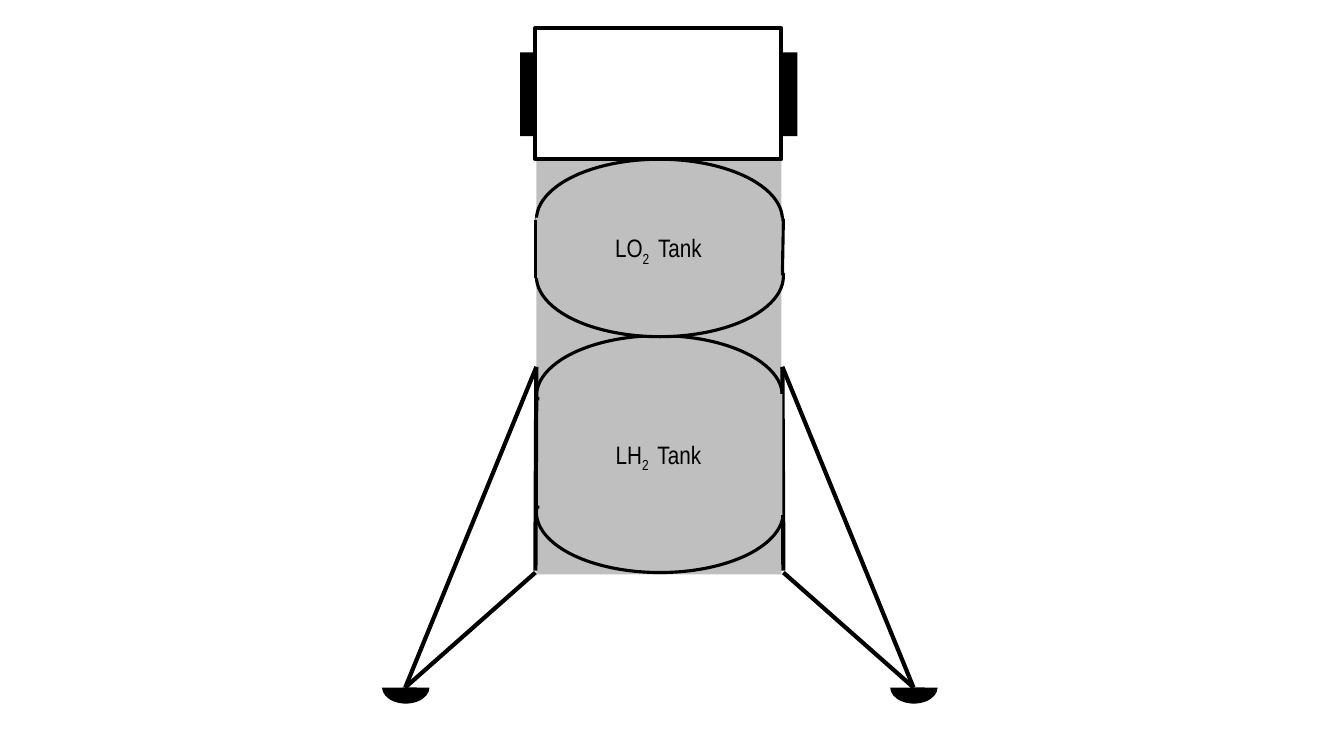
from lxml import etree
from pptx import Presentation
from pptx import util as u
from pptx.dml.color import RGBColor
from pptx.enum import shapes, text
from pptx.oxml.ns import qn

PX = 9144  # EMU: 100 px to the inch
BLACK = RGBColor(0, 0, 0)
WHITE = RGBColor(255, 255, 255)
GREY = RGBColor(0xBF, 0xBF, 0xBF)
FONT = "Arial Narrow"
RECT, PIE = shapes.MSO_SHAPE.RECTANGLE, shapes.MSO_SHAPE.PIE
UP, DOWN = 90, 270  # rotation that turns a left half-disc up or down


def emu(*lengths):
    return [u.Emu(round(length * PX)) for length in lengths]


def add_part(page, kind, box, fill, line_width=0):
    part = page.shapes.add_shape(kind, *emu(*box))
    part.shadow.inherit = False
    part.fill.solid()
    part.fill.fore_color.rgb = fill
    if line_width:
        part.line.color.rgb = BLACK
        part.line.width = u.Pt(line_width)
    else:
        part.line.fill.background()
    return part


def add_half_disc(page, box, turn, angles, fill, line_width=0):
    """Box is the whole ellipse as seen after the quarter turn."""
    left, top, width, height = box
    shift = (width - height) / 2
    disc = add_part(page, PIE, (left + shift, top - shift, height, width), fill, line_width)
    disc.rotation = turn
    for index, degrees in enumerate(angles):
        disc.adjustments[index] = degrees * 0.6


def add_strut(page, start, end, width):
    strut = page.shapes.add_connector(shapes.MSO_CONNECTOR.STRAIGHT, *emu(*start, *end))
    strut.line.color.rgb = BLACK
    strut.line.width = u.Pt(width)
    etree.SubElement(strut._element.spPr, qn("a:effectLst"))


def draw_cabin(page, box):
    left, top, width, height = box
    for window_left in (left - 15, left + width + 1):
        add_part(page, RECT, (window_left, top + 24, 15, 83), BLACK)
    add_part(page, RECT, box, WHITE, 3)


def draw_domes(page, box):
    left, top, width, height = box
    dome = 120
    add_half_disc(page, (left, top, width, dome), UP, (88.72, 270), GREY, 2.25)
    add_half_disc(page, (left, top + height - dome, width + 1, dome), DOWN,
                  (88.72, 272.33), GREY, 2.25)


def draw_leg(page, box, side):
    """Side is -1 for a leg reaching left, 1 for one reaching right."""
    left, top, width, height = box
    hip, foot = (left + width, left) if side < 0 else (left, left + width)
    ankle = (foot, top + height)
    add_strut(page, (hip, top), ankle, 3)
    add_strut(page, (hip + side, top + 204), ankle, 3)
    add_strut(page, (hip, top), (hip + side, top + 202), 3)
    add_half_disc(page, (foot - 23, top + height - 16, 47, 32), DOWN, (90.18, 269.4), BLACK)


def draw_label(page, box, symbol):
    label = page.shapes.add_textbox(*emu(*box))
    label.text_frame.word_wrap = True
    label.text_frame.auto_size = text.MSO_AUTO_SIZE.SHAPE_TO_FIT_TEXT
    para = label.text_frame.paragraphs[0]
    para.alignment = text.PP_ALIGN.CENTER
    for words, baseline in ((symbol, 0), ("2 ", -25000), (" Tank", 0)):
        span = para.add_run()
        span.text = words
        span.font.name = FONT
        span.font.size = u.Pt(18)
        span.font.color.rgb = BLACK
        if baseline:
            span.font._element.set("baseline", str(baseline))


def draw_lander(page, box):
    left, top, width, height = box
    right = left + width
    # Hull and cabin
    add_part(page, RECT, (left + 1, top + 132, width - 1, 410), GREY)
    draw_cabin(page, (left, top, width, 130))
    # Tank ends
    draw_domes(page, (left + 1, top + 305, width, 235))
    draw_domes(page, (left + 1, top + 130, width, 176))
    # Landing legs
    draw_leg(page, (left - 129, top + 336, 130, 318), -1)
    draw_leg(page, (right + 1, top + 336, 130, 318), 1)
    # Tank walls
    add_part(page, RECT, (left + 4, top + 363, width - 3, 120), GREY)
    add_part(page, RECT, (left, top + 188, width, 60), GREY)
    add_strut(page, (left, top + 190), (left, top + 248), 2.25)
    add_strut(page, (right + 2, top + 189), (right + 1, top + 245), 2.25)
    # Tank names
    for symbol, label_top in (("LO", 198), ("LH", 403)):
        draw_label(page, (left + 63, top + label_top, 118, 40), symbol)


def main():
    deck = Presentation()
    deck.slide_width, deck.slide_height = emu(1333, 750)
    page = deck.slides.add_slide(deck.slide_layouts[6])
    draw_lander(page, (531, 28, 244, 670))
    deck.save("out.pptx")


if __name__ == "__main__":
    main()
